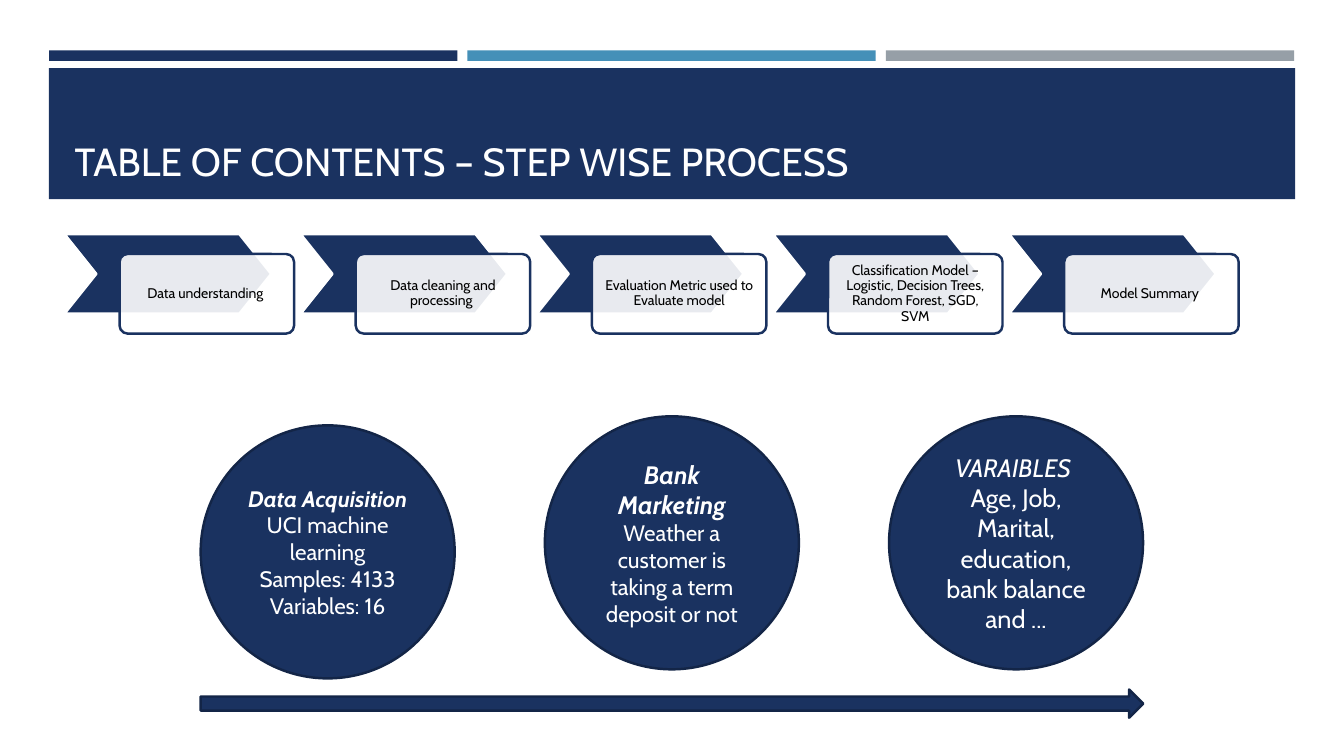
from dataclasses import dataclass

from lxml import etree
from pptx import Presentation
from pptx.dml.color import RGBColor
from pptx.enum.shapes import MSO_SHAPE
from pptx.enum.text import MSO_ANCHOR, MSO_AUTO_SIZE, PP_ALIGN
from pptx.oxml.ns import qn
from pptx.shapes.autoshape import Shape
from pptx.slide import Slide
from pptx.text.text import TextFrame
from pptx.util import Inches, Length, Pt

RECTANGLE = MSO_SHAPE.RECTANGLE
CHEVRON = MSO_SHAPE.CHEVRON
CARD = MSO_SHAPE.ROUNDED_RECTANGLE
OVAL = MSO_SHAPE.OVAL
ARROW = MSO_SHAPE.RIGHT_ARROW
MIDDLE, BOTTOM = MSO_ANCHOR.MIDDLE, MSO_ANCHOR.BOTTOM
LEFT, CENTER = PP_ALIGN.LEFT, PP_ALIGN.CENTER
NO_AUTOFIT = MSO_AUTO_SIZE.NONE

FONT = "Cabin"
NAVY, EDGE, BLUE, GRAY = "1A3260", "132547", "4590B8", "969FA7"
WHITE, BLACK = "FFFFFF", "000000"
SLIDE_WIDTH, SLIDE_HEIGHT = Inches(13.33), Inches(7.5)
LINE_WIDTH = 1.75

BAR_LEFT, BAR_STEP = 3.65, 31.13
STEP_LEFT, STEP_PITCH, CARD_SHIFT = 4.8, 17.57, 4.1
CIRCLE_LEFT, CIRCLE_PITCH = 14.93, 25.61


@dataclass
class Area:
    """Left, top, width and height in percent of the slide."""
    left: float
    top: float
    width: float
    height: float

    def lengths(self) -> tuple[Length, ...]:
        return tuple(
            Length(round(share * full / 100))
            for share, full in (
                (self.left, SLIDE_WIDTH), (self.top, SLIDE_HEIGHT),
                (self.width, SLIDE_WIDTH), (self.height, SLIDE_HEIGHT),
            )
        )


@dataclass
class Span:
    text: str
    size: float = 16
    bold: bool = False
    italic: bool = False


@dataclass
class Circle:
    top: float
    paragraphs: list[list[Span]]


BAR_COLORS = [NAVY, BLUE, GRAY]
STEPS = [
    "Data understanding ",
    "Data cleaning and processing ",
    "Evaluation Metric used to Evaluate model",
    "Classification Model – Logistic, Decision Trees, Random Forest, SGD, SVM",
    "Model Summary ",
]
CIRCLES = [
    Circle(56.27, [
        [Span("Data Acquisition", bold=True, italic=True)],
        [Span("UCI machine learning")],
        [Span("Samples: 4133")],
        [Span("Variables: 16")],
    ]),
    Circle(55.07, [[
        Span("Bank Marketing ", 18, bold=True, italic=True),
        Span("Weather a customer is taking a term deposit or not"),
    ]]),
    Circle(55.07, [
        [Span("VARAIBLES ", 18, italic=True)],
        [Span("Age, Job, Marital, education, bank balance and ...", 18)],
    ]),
]


def color(value: str) -> RGBColor:
    return RGBColor.from_string(value)


def write(frame: TextFrame, paragraphs: list[list[Span]], *, ink: str = WHITE,
          align: PP_ALIGN = CENTER, anchor: MSO_ANCHOR = MIDDLE,
          spacing: float = 1, inset: float | None = None) -> None:
    frame.word_wrap = True
    frame.auto_size = NO_AUTOFIT
    frame.vertical_anchor = anchor
    if inset is not None:
        frame.margin_left = frame.margin_right = Inches(inset)
        frame.margin_top = frame.margin_bottom = Inches(inset)
    for index, spans in enumerate(paragraphs):
        para = frame.add_paragraph() if index else frame.paragraphs[0]
        para.alignment = align
        para.line_spacing = spacing
        for span in spans:
            run = para.add_run()
            run.text = span.text
            run.font.name = FONT
            run.font.size = Pt(span.size)
            run.font.bold = span.bold
            run.font.italic = span.italic
            run.font.color.rgb = color(ink)


def draw(page: Slide, kind: MSO_SHAPE, area: Area, fill: str, *,
         line: str | None = None, adjustment: float | None = None,
         opacity: int = 100) -> Shape:
    box = page.shapes.add_shape(kind, *area.lengths())
    box.shadow.inherit = False
    box.fill.solid()
    box.fill.fore_color.rgb = color(fill)
    if opacity < 100:
        solid = box.element.spPr.find(qn("a:solidFill"))
        alpha = etree.SubElement(solid[0], qn("a:alpha"))
        alpha.set("val", str(opacity * 1000))
    if line:
        box.line.color.rgb = color(line)
        box.line.width = Pt(LINE_WIDTH)
    else:
        box.line.fill.background()
    if adjustment is not None:
        box.adjustments[0] = adjustment
    return box


def draw_header(page: Slide) -> None:
    for index, fill in enumerate(BAR_COLORS):
        draw(page, RECTANGLE, Area(BAR_LEFT + index * BAR_STEP, 6.67, 30.38, 1.4), fill)
    banner = draw(page, RECTANGLE, Area(3.64, 9, 92.72, 17.33), NAVY)
    title = page.shapes.title
    banner.element.addnext(title.element)
    title.left, title.top, title.width, title.height = Area(4.8, 10.27, 90.45, 14.8).lengths()
    write(title.text_frame, [[Span("TABLE OF CONTENTS – STEP WISE PROCESS", 28)]],
          align=LEFT, anchor=BOTTOM)


def draw_steps(page: Slide) -> None:
    for index, label in enumerate(STEPS):
        left = STEP_LEFT + index * STEP_PITCH
        draw(page, CHEVRON, Area(left, 30.97, 15.38, 10.53), NAVY,
             line=WHITE, adjustment=0.4)
        card = draw(page, CARD, Area(left + CARD_SHIFT, 33.6, 12.98, 10.53), WHITE,
                    line=NAVY, adjustment=0.1, opacity=90)
        write(card.text_frame, [[Span(label, 10)]], ink=BLACK, spacing=0.9, inset=0.08)


def draw_circles(page: Slide) -> None:
    for index, circle in enumerate(CIRCLES):
        area = Area(CIRCLE_LEFT + index * CIRCLE_PITCH, circle.top, 18.9, 33.47)
        disc = draw(page, OVAL, area, NAVY, line=EDGE)
        write(disc.text_frame, circle.paragraphs)
    draw(page, ARROW, Area(CIRCLE_LEFT, 91.2, 70.13, 3.73), NAVY, line=EDGE)


def main() -> None:
    deck = Presentation()
    deck.slide_width, deck.slide_height = SLIDE_WIDTH, SLIDE_HEIGHT
    page = deck.slides.add_slide(deck.slide_layouts.get_by_name("Title Only"))
    draw_header(page)
    draw_steps(page)
    draw_circles(page)
    deck.save("out.pptx")


if __name__ == "__main__":
    main()
